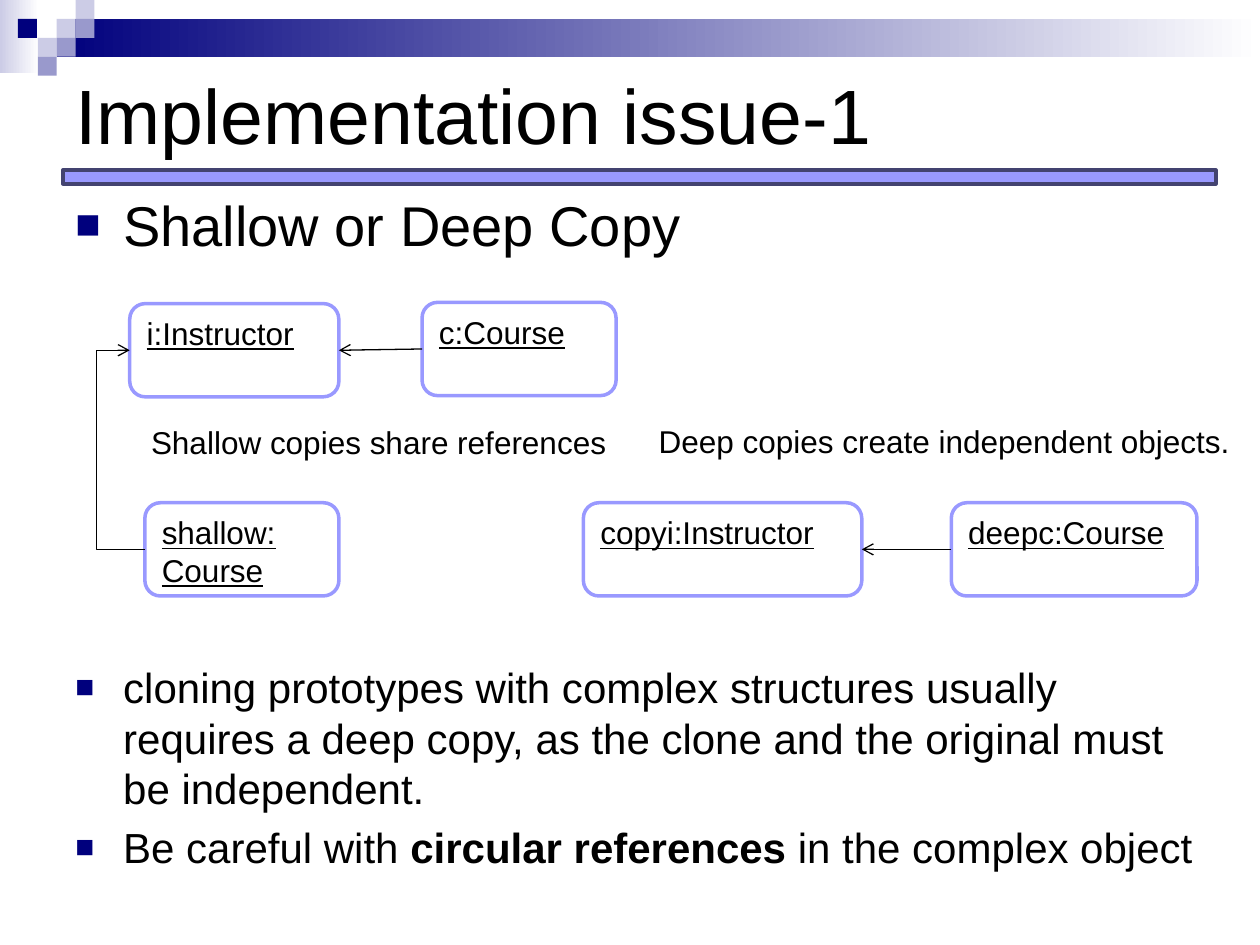
from lxml import etree
from pptx import Presentation
from pptx.dml.color import RGBColor
from pptx.enum.shapes import MSO_CONNECTOR, MSO_SHAPE
from pptx.enum.text import MSO_ANCHOR
from pptx.oxml.ns import qn
from pptx.util import Inches, Pt

RECT = MSO_SHAPE.RECTANGLE
ROUNDED = MSO_SHAPE.ROUNDED_RECTANGLE
STRAIGHT = MSO_CONNECTOR.STRAIGHT
ELBOW = MSO_CONNECTOR.ELBOW
MIDDLE = MSO_ANCHOR.MIDDLE
COLS, ROWS = 100, 75
LEFT_SITE, RIGHT_SITE = 1, 3

NAVY, MIST, LILAC = "00007D", "CCCCE6", "9999CC"
PERIWINKLE, SLATE = "9999FF", "434370"
BLACK, WHITE = "000000", "FFFFFF"


def rgb(color):
    return RGBColor.from_string(color)


def add_xml(parent, tag, **attrs):
    return etree.SubElement(parent, qn(tag), attrs)


class Deck:
    font = "Arial"

    def __init__(self):
        self.prs = Presentation()
        self.prs.slide_width, self.prs.slide_height = Inches(10), Inches(7.5)
        self.slide = self.prs.slides.add_slide(self.prs.slide_layouts[6])

    def grid(self, x, y, w, h):
        col, row = self.prs.slide_width / COLS, self.prs.slide_height / ROWS
        return [round(v) for v in (x * col, y * row, w * col, h * row)]

    def style(self, p, size, underline=None):
        p.font.name, p.font.size = self.font, Pt(size)
        p.font.color.rgb = rgb(BLACK)
        p.font.underline = underline

    def shape(self, kind, box, fill, line=None):
        sp = self.slide.shapes.add_shape(kind, *self.grid(*box))
        sp.shadow.inherit = False
        sp.fill.solid()
        sp.fill.fore_color.rgb = rgb(fill)
        if line:
            sp.line.color.rgb, sp.line.width = rgb(line), Pt(2)
        else:
            sp.line.fill.background()
        return sp

    def fade(self, box, start):
        sp = self.shape(RECT, box, start)
        sp.fill.gradient()
        sp.fill.gradient_angle = 0
        for stop, color in zip(sp.fill.gradient_stops, (start, WHITE)):
            stop.color.rgb = rgb(color)

    def node(self, box, text):
        sp = self.shape(ROUNDED, box, WHITE, PERIWINKLE)
        tf = sp.text_frame
        tf.text = text
        tf.vertical_anchor = MSO_ANCHOR.TOP
        for p in tf.paragraphs:
            p.alignment = 1
            self.style(p, 18, underline=True)
        return sp

    def text(self, box, text, size, wrap=True, anchor=MSO_ANCHOR.TOP):
        tf = self.slide.shapes.add_textbox(*self.grid(*box)).text_frame
        tf.word_wrap, tf.vertical_anchor = wrap, anchor
        tf.text = text
        self.style(tf.paragraphs[0], size)

    def bullets(self, box, items):
        tf = self.slide.shapes.add_textbox(*self.grid(*box)).text_frame
        tf.word_wrap = True
        for i, (size, before, runs) in enumerate(items):
            p = tf.add_paragraph() if i else tf.paragraphs[0]
            p.space_before = Pt(before)
            self.style(p, size)
            for text, bold in runs:
                r = p.add_run()
                r.text = text
                if bold:
                    r.font.bold = True
            pPr = p._p.get_or_add_pPr()
            pPr.set("marL", str(Inches(0.38)))
            pPr.set("indent", str(-Inches(0.38)))
            marks = etree.Element("marks")
            add_xml(add_xml(marks, "a:buClr"), "a:srgbClr", val=NAVY)
            add_xml(marks, "a:buSzPct", val="75000")
            add_xml(marks, "a:buFont", typeface=self.font)
            add_xml(marks, "a:buChar", char="■")
            for mark in list(marks):
                pPr.find(qn("a:defRPr")).addprevious(mark)

    def arrow(self, start, end, end_site, kind=STRAIGHT, bend=None):
        cxn = self.slide.shapes.add_connector(kind, 0, 0, 0, 0)
        cxn.begin_connect(start, LEFT_SITE)
        cxn.end_connect(end, end_site)
        cxn.line.color.rgb, cxn.line.width = rgb(BLACK), Pt(0.75)
        add_xml(cxn.line._get_or_add_ln(), "a:tailEnd", type="arrow")
        spPr = cxn._element.spPr
        add_xml(spPr, "a:effectLst")
        if bend:
            guides = spPr.find(qn("a:prstGeom")).find(qn("a:avLst"))
            add_xml(guides, "a:gd", name="adj1", fmla=f"val {bend}")


def main():
    deck = Deck()

    deck.fade((0, 0, 3.1, 5.8), MIST)
    deck.fade((4.5, 1.5, 95.5, 3), NAVY)
    tile = 1.5
    mosaic = [(3, 1, MIST), (4, 0, MIST), (4, 1, LILAC), (2, 2, MIST),
              (0.95, 1, NAVY), (3, 2, LILAC), (2, 3, LILAC)]
    for col, row, color in mosaic:
        deck.shape(RECT, (col * tile, row * tile, tile, tile), color)
    deck.shape(RECT, (5, 13.5, 91.5, 1.1), PERIWINKLE, SLATE)

    deck.text((5, 1.5, 90, 15), "Implementation issue-1", 44, anchor=MIDDLE)
    deck.bullets((5, 14.6, 92.6, 56.9), [
        (32, 6.4, [("Shallow or Deep Copy", False)]),
        (24, 231, [("cloning prototypes with complex structures usually requires "
                    "a deep copy, as the clone and the original must be "
                    "independent.", False)]),
        (24, 4.8, [("Be careful with ", False), ("circular references", True),
                   (" in the complex object", False)]),
    ])

    height, lower = 7.4, 39.9
    instructor = deck.node((10.3, 24.1, 16.6, height), "i:Instructor")
    course = deck.node((33.5, 24, 15.4, height), "c:Course")
    shallow = deck.node((11.5, lower, 15.4, height), "shallow:\nCourse")
    copied = deck.node((46.3, lower, 22.1, height), "copyi:Instructor")
    deep = deck.node((75.5, lower, 19.5, height), "deepc:Course")
    deck.arrow(course, instructor, RIGHT_SITE)
    deck.arrow(shallow, instructor, LEFT_SITE, ELBOW, bend=317400)
    deck.arrow(deep, copied, RIGHT_SITE)

    deck.text((11, 33.1, 38.5, 4), "Shallow copies share references", 18, wrap=False)
    deck.text((51.3, 33, 47.7, 4), "Deep copies create independent objects.", 18,
              wrap=False)

    deck.prs.save("out.pptx")


if __name__ == "__main__":
    main()
